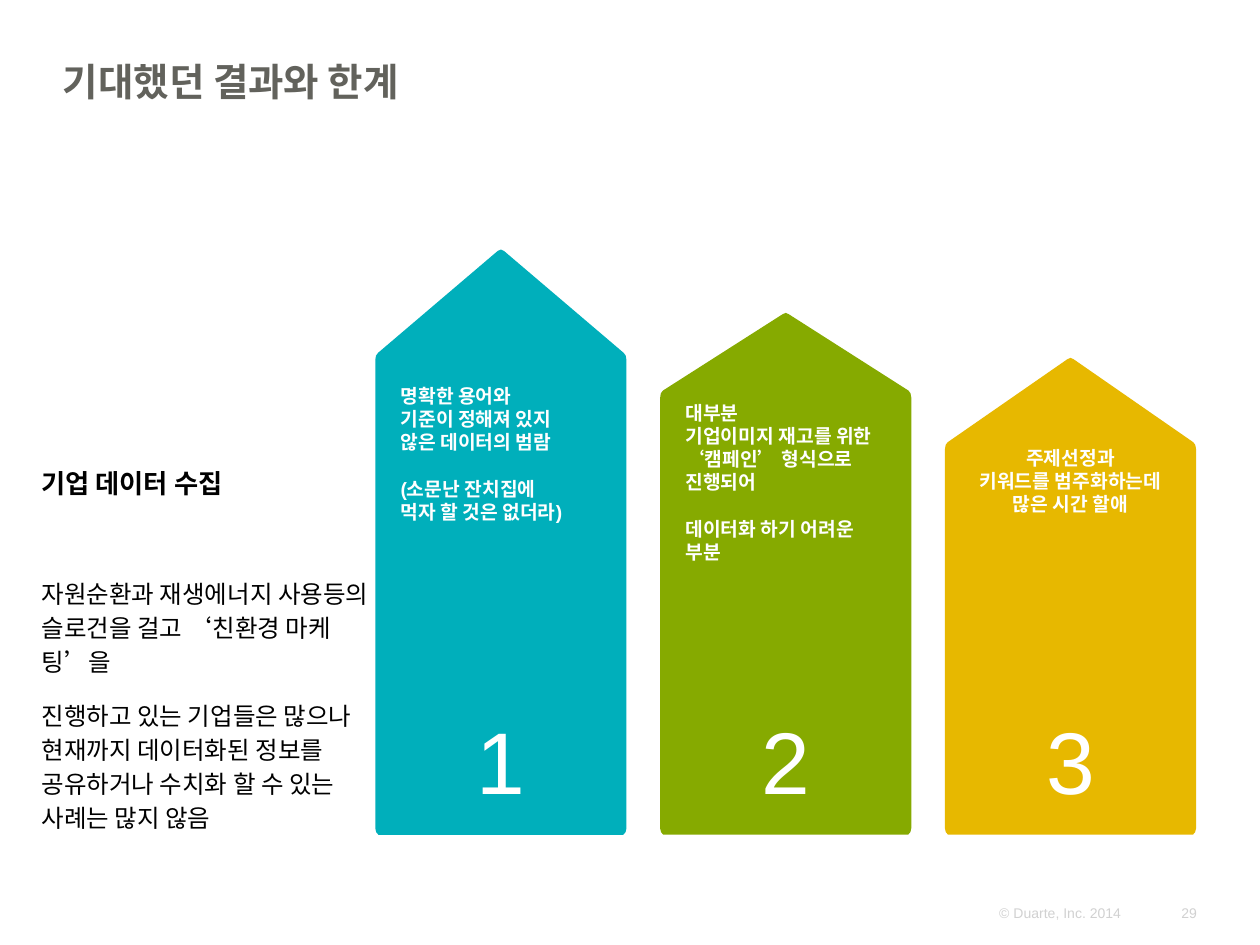
from dataclasses import dataclass

from pptx import Presentation
from pptx.dml.color import RGBColor
from pptx.enum import text
from pptx.util import Pt

LEFT, CENTER, RIGHT = text.PP_ALIGN.LEFT, text.PP_ALIGN.CENTER, text.PP_ALIGN.RIGHT


@dataclass(frozen=True)
class Theme:
    font: str = "Arial"
    body_font: str = "TeX Gyre Schola"
    title: str = "62625C"
    footer: str = "D1D1D1"
    body: str = "000000"
    light: str = "FFFFFF"
    teal: str = "00AFBB"
    green: str = "86AA00"
    yellow: str = "E7B800"
    title_size: float = 22
    heading_size: float = 15
    body_size: float = 14
    label_size: float = 11
    number_size: float = 50
    footer_size: float = 8


THEME = Theme()


@dataclass(frozen=True)
class Line:
    text: str
    before: float = 0


@dataclass(frozen=True)
class Arrow:
    number: str
    color: str
    top: float
    shoulder: float
    lines: tuple[Line, ...]
    align: text.PP_ALIGN = LEFT
    inset_top: float = 50.4


ARROWS = (
    Arrow("1", THEME.teal, 142.6, 201.6, (
        Line("명확한 용어와"),
        Line("기준이 정해져 있지"),
        Line("않은 데이터의 범람"),
        Line("(소문난 잔치집에", before=13.3),
        Line("먹자 할 것은 없더라)"),
    ), inset_top=77),
    Arrow("2", THEME.green, 178.8, 223.2, (
        Line("대부분"),
        Line("기업이미지 재고를 위한 ‘캠페인’ 형식으로 진행되어"),
        Line("데이터화 하기 어려운 부분", before=13.3),
    )),
    Arrow("3", THEME.yellow, 204.5, 252.7, (
        Line("주제선정과"),
        Line("키워드를 범주화하는데"),
        Line("많은 시간 할애"),
    ), align=CENTER),
)
ARROW_LEFT, ARROW_PITCH, ARROW_WIDTH, ARROW_BOTTOM = 214.5, 162.75, 143.5, 477
NUMBER_TOP, NUMBER_HEIGHT = 401, 74


def add_line(frame, content: str, *, size: float, color: str, font: str = THEME.font,
             bold: bool = False, align: text.PP_ALIGN = LEFT,
             spacing: float = 1.0, before: float = 0) -> None:
    """Write a paragraph, filling the frame's empty first one if there is one."""
    para = frame.paragraphs[0]
    if para.runs:
        para = frame.add_paragraph()
    para.alignment = align
    para.line_spacing = spacing
    para.space_before = Pt(before)
    span = para.add_run()
    span.text = content
    span.font.name = font
    span.font.size = Pt(size)
    span.font.bold = bold
    span.font.color.rgb = RGBColor.from_string(color)


def set_frame(frame, left: float, top: float, right: float, bottom: float,
              anchor: text.MSO_ANCHOR = text.MSO_ANCHOR.TOP) -> None:
    """Wrap the text and set its insets and anchor."""
    frame.word_wrap = True
    frame.vertical_anchor = anchor
    frame.margin_left, frame.margin_top = Pt(left), Pt(top)
    frame.margin_right, frame.margin_bottom = Pt(right), Pt(bottom)


def add_box(page, left: float, top: float, width: float, height: float,
            inset: float = 0, anchor: text.MSO_ANCHOR = text.MSO_ANCHOR.TOP):
    box = page.shapes.add_textbox(Pt(left), Pt(top), Pt(width), Pt(height))
    set_frame(box.text_frame, inset, inset, inset, inset, anchor)
    return box.text_frame


def draw_arrow(page, arrow: Arrow, left: float) -> None:
    """Draw a house-shaped bar with softened corners and its label."""
    right, middle = left + ARROW_WIDTH, left + ARROW_WIDTH / 2
    top, shoulder, bottom = arrow.top, arrow.shoulder, ARROW_BOTTOM
    points = [
        (middle - 1.8, top + 0.8), (middle, top), (middle + 1.8, top + 0.8),
        (right - 1.6, shoulder), (right - 0.4, shoulder + 1.6), (right, shoulder + 4),
        (right, bottom - 3.6), (right - 0.5, bottom - 1.5), (right - 1.8, bottom),
        (left + 1.8, bottom), (left + 0.5, bottom - 1.5), (left, bottom - 3.6),
        (left, shoulder + 4), (left + 0.4, shoulder + 1.6), (left + 1.6, shoulder),
    ]
    start, *rest = [(Pt(x), Pt(y)) for x, y in points]
    builder = page.shapes.build_freeform(*start)
    builder.add_line_segments(rest, close=True)
    shape = builder.convert_to_shape()
    shape.shadow.inherit = False
    shape.fill.solid()
    shape.fill.fore_color.rgb = RGBColor.from_string(arrow.color)
    shape.line.fill.background()
    set_frame(shape.text_frame, 14.4, arrow.inset_top, 14.4, 3.6)
    for line in arrow.lines:
        add_line(shape.text_frame, line.text, size=THEME.label_size, color=THEME.light,
                 bold=True, align=arrow.align, before=line.before)


def draw_number(page, arrow: Arrow, left: float) -> None:
    frame = add_box(page, left + 21, NUMBER_TOP, ARROW_WIDTH - 42, NUMBER_HEIGHT,
                    anchor=text.MSO_ANCHOR.MIDDLE)
    add_line(frame, arrow.number, size=THEME.number_size, color=THEME.light,
             align=CENTER, spacing=0.9)


def draw_summary(page) -> None:
    frame = add_box(page, 16.6, 257, 202.3, 225.4, inset=7.2)
    style = {"font": THEME.body_font, "color": THEME.body, "spacing": 1.15}
    add_line(frame, "기업 데이터 수집", size=THEME.heading_size, bold=True, **style)
    for line in (
        Line("자원순환과 재생에너지 사용등의 슬로건을 걸고 ‘친환경 마케팅’을", before=43.5),
        Line("진행하고 있는 기업들은 많으나 현재까지 데이터화된 정보를 "
             "공유하거나 수치화 할 수 있는 사례는 많지 않음", before=12),
    ):
        add_line(frame, line.text, size=THEME.body_size, before=line.before, **style)


def main() -> None:
    deck = Presentation()
    deck.slide_width, deck.slide_height = Pt(720), Pt(540)
    page = deck.slides.add_slide(deck.slide_layouts[6])

    for content, left, width in (("29", 640.8, 43.2), ("© Duarte, Inc. 2014", 554.4, 86.4)):
        add_line(add_box(page, left, 517, width, 9.4), content,
                 size=THEME.footer_size, color=THEME.footer, align=RIGHT)
    add_line(add_box(page, 36, 36, 648, 41), "기대했던 결과와 한계",
             size=THEME.title_size, color=THEME.title, bold=True, spacing=0.9)

    for index, arrow in enumerate(ARROWS):
        left = ARROW_LEFT + index * ARROW_PITCH
        draw_arrow(page, arrow, left)
        draw_number(page, arrow, left)
    draw_summary(page)
    deck.save("out.pptx")


if __name__ == "__main__":
    main()
